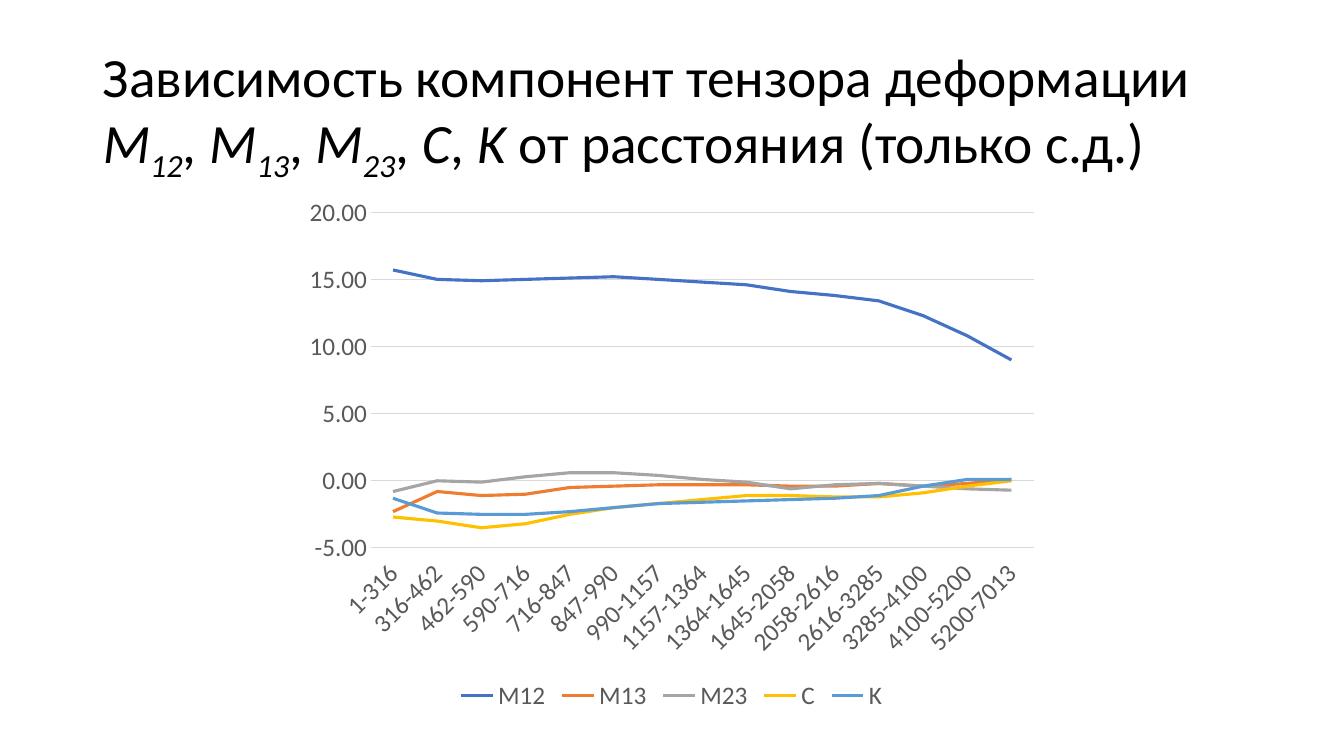
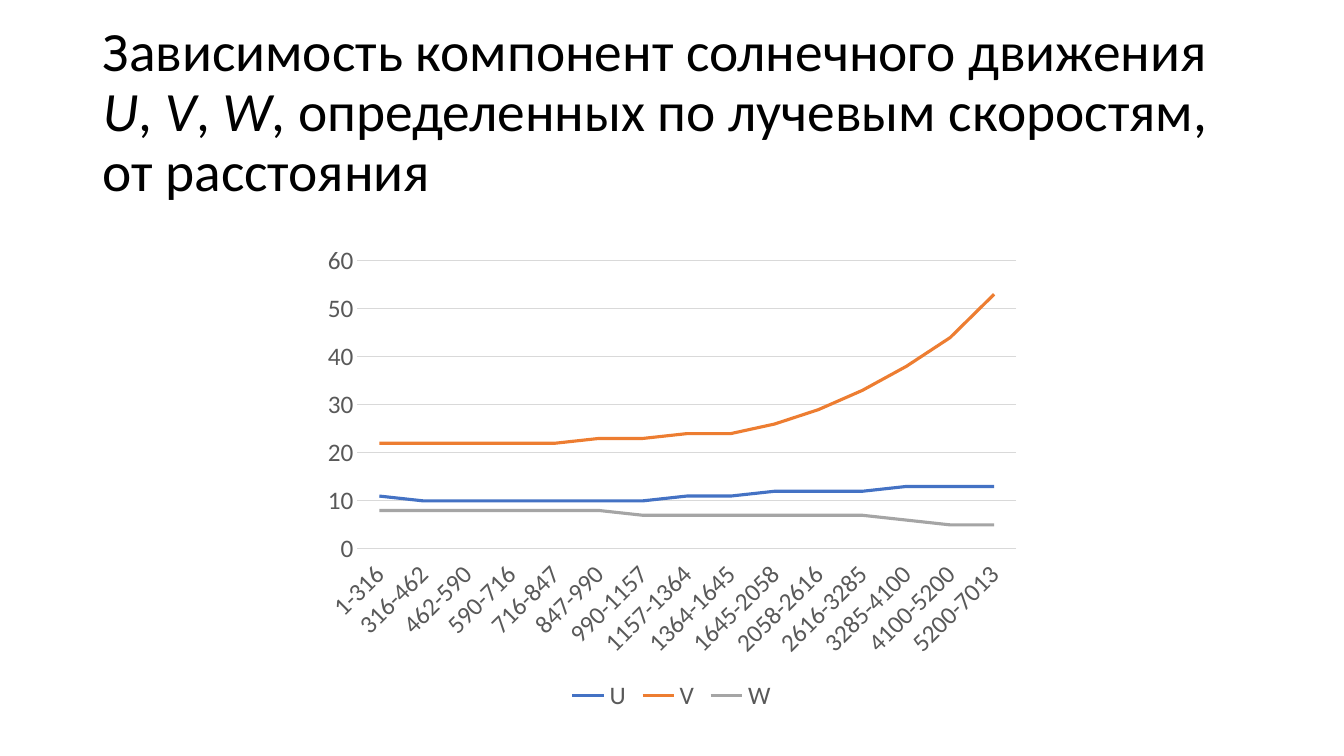
from pptx import Presentation
from pptx.chart.data import CategoryChartData
from pptx.dml.color import RGBColor
from pptx.enum.chart import XL_CHART_TYPE, XL_LEGEND_POSITION, XL_TICK_LABEL_POSITION, XL_TICK_MARK
from pptx.enum.text import MSO_ANCHOR, MSO_AUTO_SIZE, PP_ALIGN
from pptx.util import Emu, Pt

LINE = XL_CHART_TYPE.LINE
BOTTOM = XL_LEGEND_POSITION.BOTTOM
LOW = XL_TICK_LABEL_POSITION.LOW
NO_TICK = XL_TICK_MARK.NONE
MIDDLE = MSO_ANCHOR.MIDDLE
NO_FIT = MSO_AUTO_SIZE.NONE
LEFT = PP_ALIGN.LEFT

EMU_PER_PX = 9144
PLAIN, ITALIC, SUBSCRIPT = "plain", "italic", "subscript"

DISTANCES = [
    "1-316", "316-462", "462-590", "590-716", "716-847",
    "847-990", "990-1157", "1157-1364", "1364-1645", "1645-2058",
    "2058-2616", "2616-3285", "3285-4100", "4100-5200", "5200-7013",
]
TENSOR_COMPONENTS = {
    "M12": [15.7, 15, 14.9, 15, 15.1, 15.2, 15, 14.8, 14.6, 14.1, 13.8, 13.4, 12.3, 10.8, 9],
    "M13": [-2.3, -0.8, -1.1, -1, -0.5, -0.4, -0.3, -0.3, -0.3, -0.4, -0.4, -0.2, -0.4, -0.2, 0.1],
    "M23": [-0.8, 0, -0.1, 0.3, 0.6, 0.6, 0.4, 0.1, -0.1, -0.6, -0.3, -0.2, -0.4, -0.6, -0.7],
    "C": [-2.7, -3, -3.5, -3.2, -2.5, -2, -1.7, -1.4, -1.1, -1.1, -1.2, -1.2, -0.9, -0.4, 0],
    "K": [-1.3, -2.4, -2.5, -2.5, -2.3, -2, -1.7, -1.6, -1.5, -1.4, -1.3, -1.1, -0.4, 0.1, 0.1],
}
SOLAR_MOTION = {
    "U": [11, 10, 10, 10, 10, 10, 10, 11, 11, 12, 12, 12, 13, 13, 13],
    "V": [22, 22, 22, 22, 22, 23, 23, 24, 24, 26, 29, 33, 38, 44, 53],
    "W": [8, 8, 8, 8, 8, 8, 7, 7, 7, 7, 7, 7, 6, 5, 5],
}
TENSOR_TITLE = [
    ("Зависимость компонент тензора деформации ", PLAIN),
    ("M", ITALIC), ("12", SUBSCRIPT), (", ", PLAIN),
    ("M", ITALIC), ("13", SUBSCRIPT), (", ", PLAIN),
    ("M", ITALIC), ("23", SUBSCRIPT), (", ", PLAIN),
    ("C", ITALIC), (", ", PLAIN), ("K ", ITALIC),
    ("от расстояния (только с.д.)", PLAIN),
]
MOTION_TITLE = [
    ("Зависимость компонент солнечного движения ", PLAIN),
    ("U", ITALIC), (", ", PLAIN), ("V", ITALIC), (", ", PLAIN), ("W", ITALIC),
    (", определенных по лучевым скоростям, от расстояния", PLAIN),
]


def px(length):
    """Turn pixels into EMU."""
    return Emu(length * EMU_PER_PX)


def rgb(hex_color):
    """Turn a hex string into a colour."""
    return RGBColor.from_string(hex_color)


class Deck:
    """Hold the shared style and the current slide."""

    FONT = "Calibri"
    TITLE_BOX = (92, 40, 1150, 145)
    TITLE_SIZE, LABEL_SIZE = 39.6, 18
    INK, LABEL, GRID = "000000", "595959", "D9D9D9"
    SERIES = ["4472C4", "ED7D31", "A5A5A5", "FFC000", "5B9BD5"]

    def __init__(self):
        """Start an empty widescreen presentation."""
        self.prs = Presentation()
        self.prs.slide_width, self.prs.slide_height = px(1333), px(750)
        self.slide = None

    def style_font(self, font, size, color):
        """Apply the deck font with a size and a colour."""
        font.name, font.size = self.FONT, Pt(size)
        font.color.rgb = rgb(color)

    def style_line(self, line, color, width):
        """Give a line its colour and width."""
        line.color.rgb = rgb(color)
        line.width = Pt(width)

    def add_slide(self, title_parts):
        """Add a slide with a title made of styled parts."""
        self.slide = self.prs.slides.add_slide(self.prs.slide_layouts[5])
        title = self.slide.shapes.title
        title.left, title.top, title.width, title.height = map(px, self.TITLE_BOX)
        frame = title.text_frame
        frame.word_wrap, frame.auto_size = True, NO_FIT
        frame.vertical_anchor = MIDDLE
        paragraph = frame.paragraphs[0]
        paragraph.alignment, paragraph.line_spacing = LEFT, 0.9
        for text, style in title_parts:
            run = paragraph.add_run()
            run.text = text
            self.style_font(run.font, self.TITLE_SIZE, self.INK)
            run.font.italic = style != PLAIN
            if style == SUBSCRIPT:
                run.font._element.set("baseline", "-25000")

    def add_line_chart(self, box, components, scale, number_format):
        """Add a line chart of components against distance."""
        data = CategoryChartData(number_format=number_format)
        data.categories = DISTANCES
        for name, values in components.items():
            data.add_series(name, values)
        chart = self.slide.shapes.add_chart(LINE, *map(px, box), data).chart
        self.style_font(chart.font, self.LABEL_SIZE, self.INK)
        chart.has_title = False
        chart.has_legend = True
        chart.legend.position = BOTTOM
        chart.legend.include_in_layout = False
        self.style_font(chart.legend.font, self.LABEL_SIZE, self.LABEL)
        chart.plots[0].vary_by_categories = False
        for series, color in zip(chart.plots[0].series, self.SERIES):
            series.smooth = False
            self.style_line(series.format.line, color, 2.25)
        self.style_axes(chart, scale, number_format)

    def style_axes(self, chart, scale, number_format):
        """Style both axes and set the value scale."""
        distance, value = chart.category_axis, chart.value_axis
        for axis in (distance, value):
            axis.major_tick_mark = axis.minor_tick_mark = NO_TICK
            self.style_font(axis.tick_labels.font, self.LABEL_SIZE, self.LABEL)
        distance.tick_label_position = LOW
        distance._element.txPr.bodyPr.set("rot", "-2700000")
        self.style_line(distance.format.line, self.GRID, 0.75)
        value.minimum_scale, value.maximum_scale, value.major_unit = scale
        value.tick_labels.number_format = number_format
        value.tick_labels.number_format_is_linked = False
        value.format.line.fill.background()
        value.has_major_gridlines = True
        self.style_line(value.major_gridlines.format.line, self.GRID, 0.75)


def main():
    """Build and save the deck."""
    deck = Deck()
    deck.add_slide(TENSOR_TITLE)
    deck.add_line_chart((292, 185, 748, 525), TENSOR_COMPONENTS, (-5, 20, 5), "#,##0.00")
    deck.add_slide(MOTION_TITLE)
    deck.add_line_chart((310, 234, 712, 476), SOLAR_MOTION, (0, 60, 10), "General")
    deck.prs.save("out.pptx")


if __name__ == "__main__":
    main()
